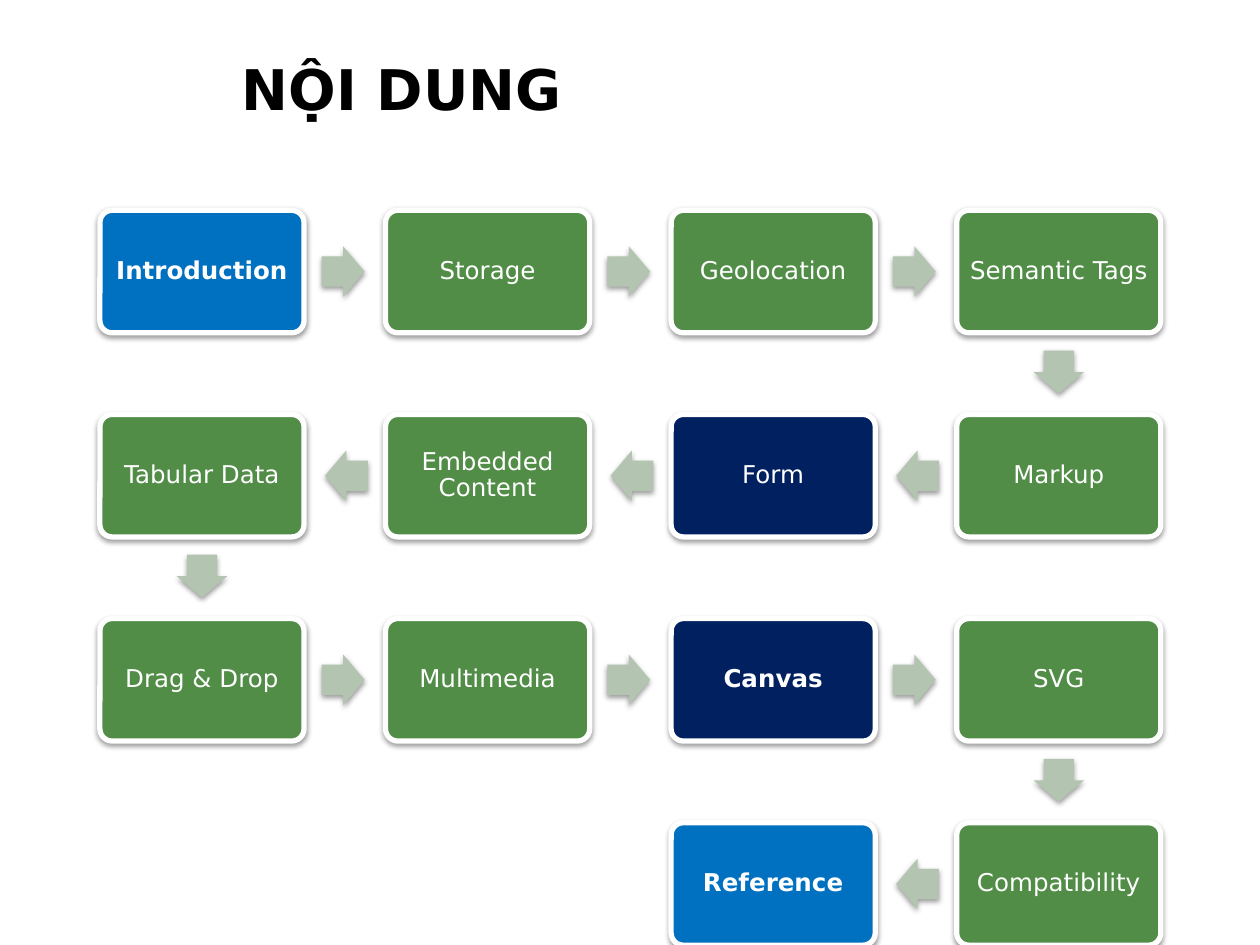
from lxml.etree import SubElement
from pptx import Presentation
from pptx.dml.color import RGBColor
from pptx.enum.shapes import MSO_SHAPE as Shape
from pptx.enum.text import MSO_ANCHOR as Anchor, MSO_AUTO_SIZE as AutoSize, PP_ALIGN as Align
from pptx.oxml.ns import qn
from pptx.util import Pt

# Content: topics in reading order of the winding path
TITLE = "NỘI DUNG"
TOPICS = [
    "Introduction", "Storage", "Geolocation", "Semantic Tags",
    "Markup", "Form", "Embedded Content", "Tabular Data",
    "Drag & Drop", "Multimedia", "Canvas", "SVG",
    "Compatibility", "Reference",
]
TOPIC_FILLS = {"Introduction": "blue", "Reference": "blue", "Form": "navy", "Canvas": "navy"}
BOLD_TOPICS = {"Introduction", "Canvas", "Reference"}

COLORS = {
    "black": "000000", "white": "FFFFFF", "green": "518D47",
    "blue": "0070C0", "navy": "002060", "arrow": "B3C5B1",
}
FONT = "DejaVu Sans"

# Geometry in points
COLUMNS = 4
LEFT, TOP = 57.1, 120.2
BOX_WIDTH, BOX_HEIGHT = 116.64, 70
COLUMN_STEP, ROW_STEP = 163.2, 116.64
ARROW_WIDTH, ARROW_HEIGHT = 24.5, 28.9
ARROW_SETBACK = 0.9


def rgb(name):
    return RGBColor.from_string(COLORS[name])


def set_all(target, values):
    for name, value in values.items():
        setattr(target, name, value)


def write(frame, text, size, color, bold, align):
    frame.text = text
    paragraph = frame.paragraphs[0]
    paragraph.alignment = align
    font = paragraph.runs[0].font
    set_all(font, {"name": FONT, "size": Pt(size), "bold": bold})
    font.color.rgb = rgb(color)
    return paragraph


def add_shadow(shape):
    shape.shadow.inherit = False
    effects = shape._element.spPr.find(qn("a:effectLst"))
    shadow = SubElement(effects, qn("a:outerShdw"), blurRad=str(Pt(3.1)),
                        dist=str(Pt(1.6)), dir="5400000", rotWithShape="0")
    color = SubElement(shadow, qn("a:srgbClr"), val=COLORS["black"])
    SubElement(color, qn("a:alpha"), val="38000")


def add_centered(slide, kind, center, width, height, fill, adjustments):
    x, y = center
    shape = slide.shapes.add_shape(kind, Pt(x - width / 2), Pt(y - height / 2),
                                   Pt(width), Pt(height))
    for index, value in enumerate(adjustments):
        shape.adjustments[index] = value
    shape.fill.solid()
    shape.fill.fore_color.rgb = rgb(fill)
    add_shadow(shape)
    return shape


def topic_center(index):
    """Odd rows run from right to left."""
    row, column = divmod(index, COLUMNS)
    if row % 2:
        column = COLUMNS - 1 - column
    return (LEFT + BOX_WIDTH / 2 + column * COLUMN_STEP,
            TOP + BOX_HEIGHT / 2 + row * ROW_STEP)


def add_topic(slide, topic, center):
    box = add_centered(slide, Shape.ROUNDED_RECTANGLE, center, BOX_WIDTH, BOX_HEIGHT,
                       TOPIC_FILLS.get(topic, "green"), [0.1])
    box.line.color.rgb = rgb("white")
    box.line.width = Pt(3)
    frame = box.text_frame
    set_all(frame, {"word_wrap": True, "vertical_anchor": Anchor.MIDDLE,
                    "margin_left": Pt(2.2), "margin_right": Pt(2.2),
                    "margin_top": Pt(2.2), "margin_bottom": Pt(2.2)})
    paragraph = write(frame, topic, 14, "white", topic in BOLD_TOPICS, Align.CENTER)
    paragraph.line_spacing = 0.9


def add_arrow(slide, start, end):
    """Point from one topic to the next, slightly back from the middle of the gap."""
    if start[1] != end[1]:
        direction, rotation = (0, 1), 90
    elif end[0] > start[0]:
        direction, rotation = (1, 0), 0
    else:
        direction, rotation = (-1, 0), 180
    center = [(a + b) / 2 - ARROW_SETBACK * d for a, b, d in zip(start, end, direction)]
    arrow = add_centered(slide, Shape.RIGHT_ARROW, center, ARROW_WIDTH, ARROW_HEIGHT,
                         "arrow", [0.6, 0.5])
    arrow.line.fill.background()
    arrow.rotation = rotation


def main():
    presentation = Presentation()
    set_all(presentation, {"slide_width": Pt(720), "slide_height": Pt(540)})
    slide = presentation.slides.add_slide(presentation.slide_layouts[5])

    # Title
    title = slide.shapes.title
    set_all(title, {"left": Pt(131), "top": Pt(28), "width": Pt(589), "height": Pt(45)})
    set_all(title.text_frame, {"word_wrap": True, "auto_size": AutoSize.NONE,
                               "vertical_anchor": Anchor.MIDDLE})
    write(title.text_frame, TITLE, 32, "black", True, Align.LEFT)

    # Topics and the arrows between them
    centers = [topic_center(index) for index in range(len(TOPICS))]
    for index, topic in enumerate(TOPICS):
        if index:
            add_arrow(slide, centers[index - 1], centers[index])
        add_topic(slide, topic, centers[index])

    presentation.save("out.pptx")


if __name__ == "__main__":
    main()
